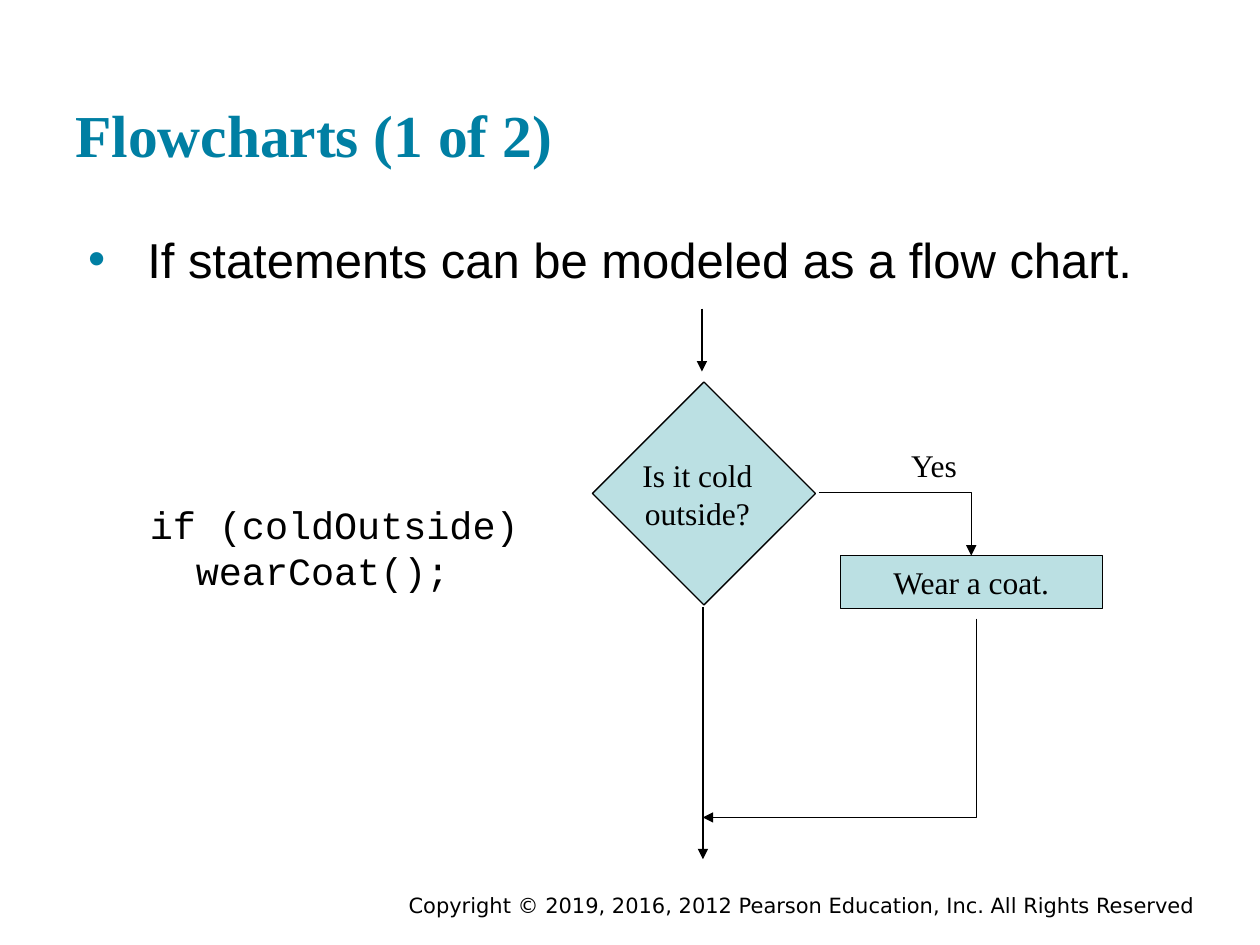
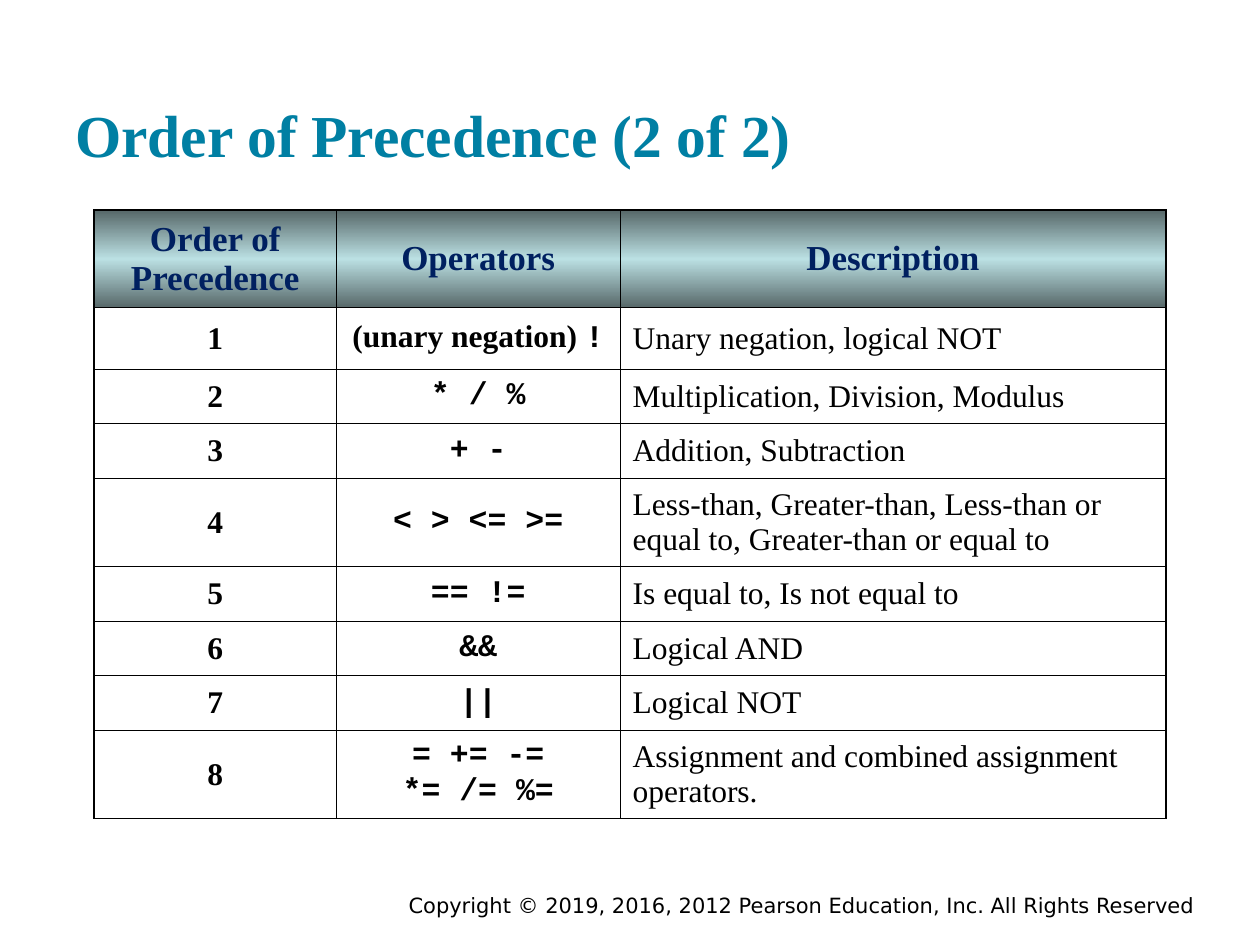
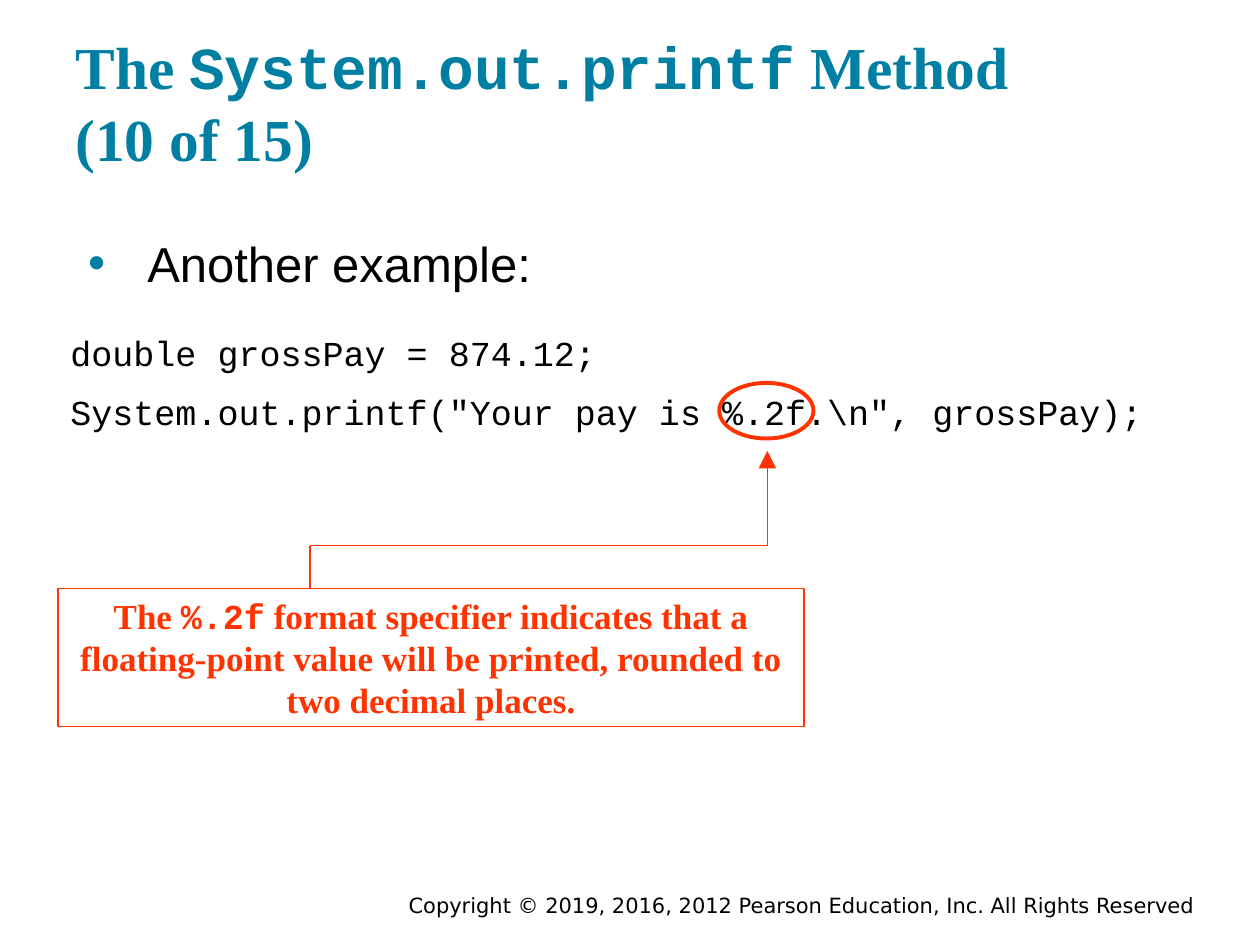
from dataclasses import dataclass

from lxml.etree import SubElement
from pptx import Presentation
from pptx.dml.color import RGBColor
from pptx.enum.shapes import MSO_CONNECTOR, MSO_SHAPE
from pptx.enum.text import MSO_ANCHOR, MSO_AUTO_SIZE, PP_ALIGN
from pptx.oxml import parse_xml
from pptx.oxml.ns import nsdecls, qn
from pptx.util import Cm, Pt


@dataclass(frozen=True)
class Theme:
    title_color: str = "007FA3"
    ink: str = "000000"
    fill: str = "BBE0E3"
    fill_dark: str = "576869"
    header_ink: str = "002060"
    accent: str = "FF3300"
    serif: str = "Times New Roman"
    sans: str = "Arial"
    mono: str = "Courier New"
    footer_font: str = "DejaVu Sans"
    title_size: int = 34
    bullet_size: int = 28
    code_size: int = 22
    large_size: int = 20
    label_size: int = 18
    footer_size: int = 12
    thin: float = 0.75
    ring: float = 2.25
    grid: float = 0.45
    frame: float = 1.08


theme = Theme()


def write(text_frame, lines, size, font=theme.serif, color=theme.ink, bold=False,
          align=PP_ALIGN.LEFT):
    """Write one paragraph per line; `backticks` mark code and \\v breaks a line."""
    for number, line in enumerate(lines):
        para = text_frame.add_paragraph() if number else text_frame.paragraphs[0]
        para.alignment = align
        para.font.name = font
        para.font.size = Pt(size)
        para.font.bold = bold
        para.font.color.rgb = RGBColor.from_string(color)
        for position, piece in enumerate(line.split("`")):
            for part_number, part in enumerate(piece.split("\v")):
                if part_number:
                    para.add_line_break()
                if part:
                    span = para.add_run()
                    span.text = part
                    if position % 2:
                        span.font.name = theme.mono


def connect(page, start, end, color=theme.ink, head="med", bend=None, adjust=None):
    """Draw a line between two points in cm, bent when a preset is named."""
    kind = MSO_CONNECTOR.ELBOW if bend else MSO_CONNECTOR.STRAIGHT
    line = page.shapes.add_connector(kind, *map(Cm, start + end))
    line.line.color.rgb = RGBColor.from_string(color)
    line.line.width = Pt(theme.thin)
    properties = line._element.spPr
    if bend:
        geometry = properties.find(qn("a:prstGeom"))
        geometry.set("prst", bend)
        if adjust is not None:
            SubElement(geometry.find(qn("a:avLst")), qn("a:gd"),
                       name="adj1", fmla=f"val {adjust}")
    if head:
        SubElement(properties.find(qn("a:ln")), qn("a:tailEnd"),
                   type="triangle", w=head, len=head)
    SubElement(properties, qn("a:effectLst"))


deck = Presentation()
deck.slide_width, deck.slide_height = Cm(25.4), Cm(19.05)

# Shared frame: footer, title and optional bullet
outline = [
    ("Flowcharts (1 of 2)", 0.61, "If statements can be modeled as a flow chart."),
    ("Order of Precedence (2 of 2)", 0.61, None),
    ("The `System.out.printf` Method\v(10 of 15)", 0.69, "Another example:"),
]
for heading, top, bullet in outline:
    page = deck.slides.add_slide(deck.slide_layouts[5])
    title = page.shapes.title
    title.left, title.top, title.width, title.height = Cm(1.27), Cm(top), Cm(22.86), Cm(3.05)
    frame = title.text_frame
    frame.word_wrap = True
    frame.auto_size = MSO_AUTO_SIZE.NONE
    frame.vertical_anchor = MSO_ANCHOR.BOTTOM
    frame.margin_left = frame.margin_right = frame.margin_top = frame.margin_bottom = Cm(0.25)
    write(frame, [heading], theme.title_size, color=theme.title_color, bold=True)

    footer = page.shapes.add_textbox(Cm(4.45), Cm(17.86), Cm(19.89), Cm(0.56))
    footer.text_frame.word_wrap = True
    write(footer.text_frame,
          ["Copyright © 2019, 2016, 2012 Pearson Education, Inc. All Rights Reserved"],
          theme.footer_size, theme.footer_font, align=PP_ALIGN.RIGHT)

    if bullet:
        body = page.shapes.add_textbox(Cm(1.27), Cm(top + 3.76), Cm(22.86), Cm(12.57))
        frame = body.text_frame
        frame.word_wrap = True
        frame.margin_top = Cm(0.25)
        marks = frame.paragraphs[0]._p.get_or_add_pPr()
        marks.set("marL", str(Cm(1.45)))
        marks.set("indent", str(Cm(-1.19)))
        SubElement(SubElement(marks, qn("a:buClr")), qn("a:srgbClr"), val=theme.title_color)
        SubElement(marks, qn("a:buFont"), typeface=theme.sans)
        SubElement(marks, qn("a:buChar"), char="•")
        write(frame, [bullet], theme.bullet_size, theme.sans)

flowchart, precedence, printf = deck.slides

# Flowchart: decision and action
decision = flowchart.shapes.add_shape(MSO_SHAPE.RECTANGLE, Cm(12.6), Cm(8.36), Cm(3.18), Cm(3.18))
decision.rotation = 45
action = flowchart.shapes.add_shape(MSO_SHAPE.RECTANGLE, Cm(16.94), Cm(11.2), Cm(5.28), Cm(1.07))
for node in (decision, action):
    node.shadow.inherit = False
    node.fill.solid()
    node.fill.fore_color.rgb = RGBColor.from_string(theme.fill)
    node.line.color.rgb = RGBColor.from_string(theme.ink)
    node.line.width = Pt(theme.thin)
action.text_frame.vertical_anchor = MSO_ANCHOR.MIDDLE
write(action.text_frame, ["Wear a coat."], theme.label_size, align=PP_ALIGN.CENTER)

# Flowchart: arrows
connect(flowchart, (14.15, 6.22), (14.15, 7.49))
connect(flowchart, (14.17, 12.24), (14.17, 17.32))
connect(flowchart, (16.51, 9.93), (19.58, 11.2), bend="bentConnector2")
connect(flowchart, (19.69, 12.47), (14.17, 16.48), bend="bentConnector3", adjust=0)

# Flowchart: labels and code
captions = [
    ((18.08, 8.86, 1.5, 1.02), ["Yes"], theme.label_size, theme.serif, PP_ALIGN.CENTER),
    ((12.56, 9.07, 3.0, 1.78), ["Is it cold", "outside?"],
     theme.label_size, theme.serif, PP_ALIGN.CENTER),
    ((2.77, 9.98, 7.95, 2.13), ["if (coldOutside)", "  wearCoat();"],
     theme.code_size, theme.mono, PP_ALIGN.LEFT),
]
for place, lines, size, font, align in captions:
    box = flowchart.shapes.add_textbox(*map(Cm, place))
    box.text_frame.word_wrap = False
    write(box.text_frame, lines, size, font, align=align)

# Precedence table
rows = [
    ("Order of Precedence", "Operators", "Description", 1.96),
    ("1", "(unary negation) `!`", "Unary negation, logical NOT", 1.24),
    ("2", "`* / %`", "Multiplication, Division, Modulus", 1.1),
    ("3", "`+ -`", "Addition, Subtraction", 1.1),
    ("4", "`< > <= >=`",
     "Less-than, Greater-than, Less-than or equal to, Greater-than or equal to", 1.78),
    ("5", "`== !=`", "Is equal to, Is not equal to", 1.1),
    ("6", "`&&`", "Logical AND", 1.1),
    ("7", "`||`", "Logical NOT", 1.1),
    ("8", "`= += -=`\n`*= /= %=`", "Assignment and combined assignment operators.", 1.78),
]
widths = (4.88, 5.72, 11.0)
table = precedence.shapes.add_table(
    len(rows), len(widths), Cm(1.9), Cm(4.24), Cm(sum(widths)), Cm(12.26)).table
table.first_row = table.horz_banding = False
for column, width in zip(table.columns, widths):
    column.width = Cm(width)

for row_number, (*texts, height) in enumerate(rows):
    table.rows[row_number].height = Cm(height)
    header = row_number == 0
    for column_number, text in enumerate(texts):
        cell = table.cell(row_number, column_number)
        cell.vertical_anchor = MSO_ANCHOR.MIDDLE
        description = column_number == 2 and not header
        write(cell.text_frame, text.split("\n"),
              theme.large_size if header else theme.label_size,
              color=theme.header_ink if header else theme.ink,
              bold=not description,
              align=PP_ALIGN.LEFT if description else PP_ALIGN.CENTER)

        # Cell fill
        properties = cell._tc.get_or_add_tcPr()
        if header:
            stops = "".join(
                f'<a:gs pos="{position}"><a:srgbClr val="{color}"/></a:gs>'
                for position, color in ((0, theme.fill_dark), (50000, theme.fill),
                                        (100000, theme.fill_dark)))
            properties.append(parse_xml(
                f'<a:gradFill {nsdecls("a")}><a:gsLst>{stops}</a:gsLst>'
                '<a:lin ang="5400000" scaled="0"/></a:gradFill>'))
        else:
            cell.fill.background()

        # Cell borders, heavier on the outside
        edges = {"L": column_number == 0, "R": column_number == len(widths) - 1,
                 "T": header, "B": row_number == len(rows) - 1}
        for order, (side, outer) in enumerate(edges.items()):
            width = Pt(theme.frame if outer else theme.grid)
            properties.insert(order, parse_xml(
                f'<a:ln{side} {nsdecls("a")} w="{width}"><a:solidFill>'
                f'<a:srgbClr val="{theme.ink}"/></a:solidFill></a:ln{side}>'))

# Code lines
code = printf.shapes.add_textbox(Cm(1.17), Cm(6.55), Cm(23.06), Cm(2.31))
code.text_frame.word_wrap = True
write(code.text_frame,
      ["double grossPay = 874.12;", 'System.out.printf("Your pay is %.2f.\\n", grossPay);'],
      theme.large_size, theme.mono)
code.text_frame.paragraphs[1].space_before = Pt(10)

# Ring around the specifier and its explanation
ring = printf.shapes.add_shape(MSO_SHAPE.OVAL, Cm(14.5), Cm(7.72), Cm(1.9), Cm(1.12))
note = printf.shapes.add_shape(MSO_SHAPE.RECTANGLE, Cm(1.17), Cm(11.86), Cm(15.04), Cm(2.79))
for outlined, weight in ((ring, theme.ring), (note, theme.thin)):
    outlined.shadow.inherit = False
    outlined.fill.background()
    outlined.line.color.rgb = RGBColor.from_string(theme.accent)
    outlined.line.width = Pt(weight)
note.text_frame.word_wrap = True
note.text_frame.vertical_anchor = MSO_ANCHOR.TOP
write(note.text_frame,
      ["The `%.2f` format specifier indicates that a floating-point value will be printed, "
       "rounded to two decimal places."],
      theme.large_size, color=theme.accent, bold=True, align=PP_ALIGN.CENTER)

# Path from the explanation to the ring
corners = [(6.25, 11.86), (6.25, 11.0), (15.47, 11.0), (15.47, 9.09)]
for start, end in zip(corners, corners[1:]):
    connect(printf, start, end, theme.accent, head="lg" if end == corners[-1] else None)

deck.save("out.pptx")
